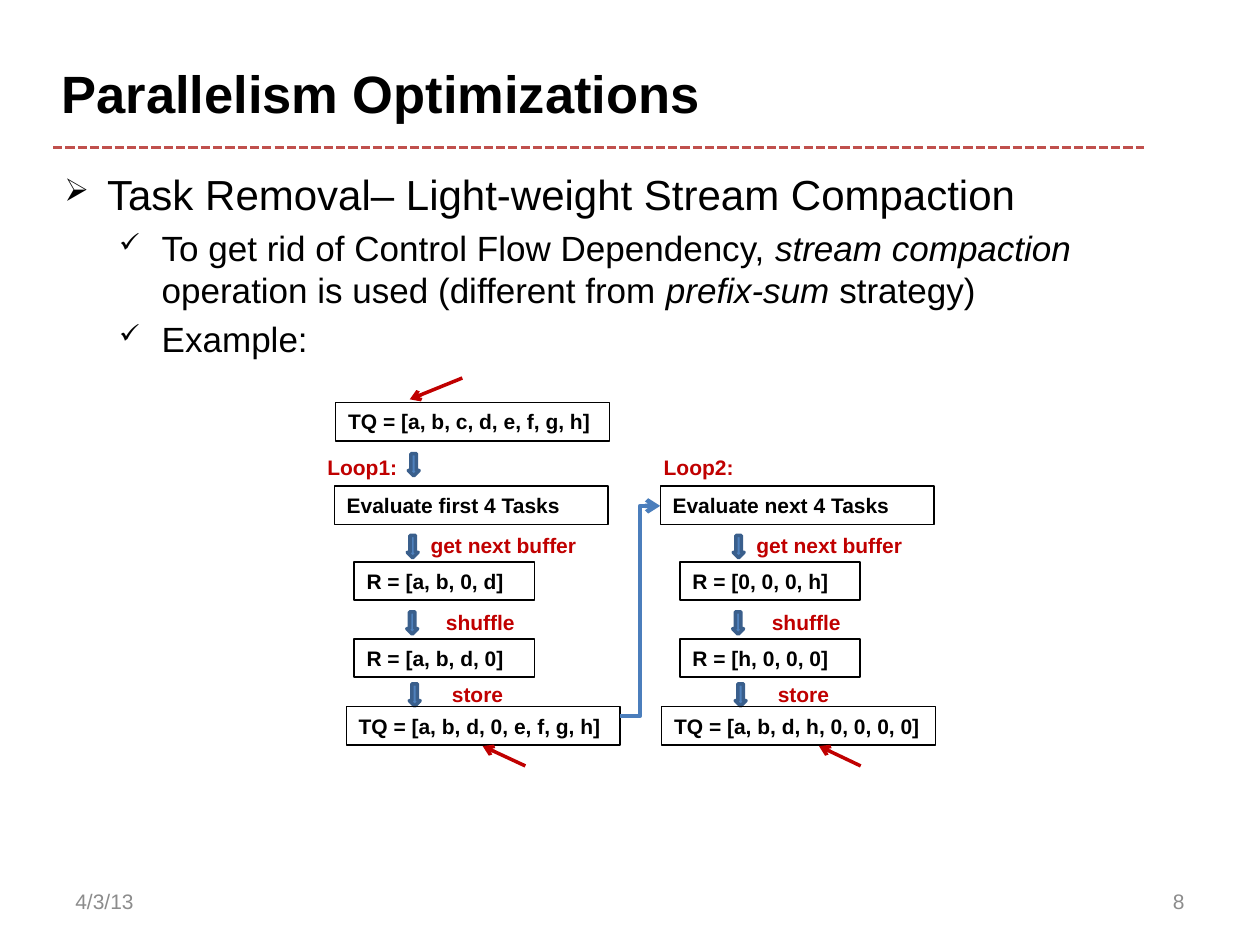
from dataclasses import dataclass

import pptx
import pptx.dml.color
import pptx.enum.dml
import pptx.enum.shapes
import pptx.enum.text
import pptx.oxml.ns
import pptx.util
from lxml import etree

Cm = pptx.util.Cm
Pt = pptx.util.Pt
RGBColor = pptx.dml.color.RGBColor
Align = pptx.enum.text.PP_ALIGN
Anchor = pptx.enum.text.MSO_ANCHOR
Connector = pptx.enum.shapes.MSO_CONNECTOR

BLACK = RGBColor(0x00, 0x00, 0x00)
GRAY = RGBColor(0x8C, 0x8C, 0x8C)
RED = RGBColor(0xC0, 0x00, 0x00)
RULE_RED = RGBColor(0xC0, 0x50, 0x4D)
BLUE = RGBColor(0x4F, 0x81, 0xBD)
DARK_BLUE = RGBColor(0x3A, 0x5F, 0x8C)
LINK_BLUE = RGBColor(0x4B, 0x7E, 0xBC)

FONT = "Arial"
BOX_HEIGHT = 0.77
QUEUE_WIDTH = 5.52
BUFFER_WIDTH = 3.63
LOOP_PITCH = 6.57


@dataclass(frozen=True)
class Step:
    """One step of a loop, placed for the first loop, in centimetres."""
    label: str
    label_left: float
    label_top: float
    label_width: float
    arrow_x: float
    arrow_y: float
    box_top: float


@dataclass(frozen=True)
class Loop:
    name: str
    name_left: float
    task: str
    buffers: tuple[str, str]
    queue: str
    queue_left: float


@dataclass(frozen=True)
class Bullet:
    """Phrases alternate between upright and italic."""
    phrases: tuple[str, ...]
    level: int
    symbol: str
    size: int
    indent: float
    space_before: int


STEPS = (
    Step("get next buffer", 8.43, 10.62, 5.08, 8.32, 11.02, 11.33),
    Step("shuffle", 8.74, 12.17, 2.13, 8.31, 12.56, 12.88),
    Step("store", 8.86, 13.61, 2.13, 8.36, 14.01, 14.25),
)
LOOPS = (
    Loop("Loop1:", 6.35, "Evaluate first 4 Tasks",
         ("R = [a, b, 0, d]", "R = [a, b, d, 0]"), "TQ = [a, b, d, 0, e, f, g, h]", 6.98),
    Loop("Loop2:", 13.13, "Evaluate next 4 Tasks",
         ("R = [0, 0, 0, h]", "R = [h, 0, 0, 0]"), "TQ = [a, b, d, h, 0, 0, 0, 0]", 13.34),
)
BULLETS = (
    Bullet(("Task Removal– Light-weight Stream Compaction",), 0, "➢", 24, 0.86, 5),
    Bullet(("To get rid of Control Flow Dependency, ", "stream compaction ",
            "operation is used (different from ", "prefix-sum", " strategy)"),
           1, "✓", 20, 1.96, 4),
    Bullet(("Example:",), 1, "✓", 20, 1.96, 4),
)
POINTERS = (
    (10.59, 15.44, 9.73, 15.04),
    (17.35, 15.44, 16.51, 15.04),
    (9.32, 7.62, 8.26, 8.05),
)


def format_run(run, size: float, color: RGBColor, bold: bool = False, italic: bool = False) -> None:
    run.font.name = FONT
    run.font.size = Pt(size)
    run.font.color.rgb = color
    run.font.bold = bold
    run.font.italic = italic


def add_text(slide, text: str, left: float, top: float, width: float, height: float = BOX_HEIGHT,
             size: float = 12, color: RGBColor = BLACK, bold: bool = True,
             anchor=Anchor.TOP, align=Align.LEFT):
    shape = slide.shapes.add_textbox(Cm(left), Cm(top), Cm(width), Cm(height))
    text_frame = shape.text_frame
    text_frame.word_wrap = True
    text_frame.vertical_anchor = anchor
    text_frame.text = text
    paragraph = text_frame.paragraphs[0]
    paragraph.alignment = align
    format_run(paragraph.runs[0], size, color, bold)
    return shape


def add_box(slide, text: str, left: float, top: float, width: float) -> None:
    shape = add_text(slide, text, left, top, width)
    shape.line.color.rgb = BLACK
    shape.line.width = Pt(0.75)


def add_down_arrow(slide, center_x: float, center_y: float) -> None:
    length, thickness = 0.45, 0.22
    shape = slide.shapes.add_shape(
        pptx.enum.shapes.MSO_SHAPE.RIGHT_ARROW, Cm(center_x - length / 2),
        Cm(center_y - thickness / 2), Cm(length), Cm(thickness))
    shape.rotation = 90
    shape.shadow.inherit = False
    shape.fill.solid()
    shape.fill.fore_color.rgb = BLUE
    shape.line.color.rgb = DARK_BLUE
    shape.line.width = Pt(2)


def add_line(slide, start_x: float, start_y: float, end_x: float, end_y: float,
             color: RGBColor, width: float, kind=Connector.STRAIGHT, arrowhead: bool = True):
    connector = slide.shapes.add_connector(kind, Cm(start_x), Cm(start_y), Cm(end_x), Cm(end_y))
    connector.line.color.rgb = color
    connector.line.width = Pt(width)
    if arrowhead:
        etree.SubElement(connector.get_or_add_ln(), pptx.oxml.ns.qn("a:tailEnd"), type="arrow")
    etree.SubElement(connector.element.spPr, pptx.oxml.ns.qn("a:effectLst"))
    return connector


def add_bullets(slide) -> None:
    shape = slide.shapes.add_textbox(Cm(1.07), Cm(3.28), Cm(23.01), Cm(14.71))
    text_frame = shape.text_frame
    text_frame.word_wrap = True
    text_frame.margin_left = text_frame.margin_right = Cm(0.23)
    for index, bullet in enumerate(BULLETS):
        paragraph = text_frame.add_paragraph() if index else text_frame.paragraphs[0]
        paragraph.level = bullet.level
        paragraph.space_before = Pt(bullet.space_before)
        properties = paragraph._p.get_or_add_pPr()
        properties.set("marL", str(Cm(bullet.indent)))
        properties.set("indent", str(Cm(-0.86)))
        etree.SubElement(properties, pptx.oxml.ns.qn("a:buSzPct"), val="75000")
        etree.SubElement(properties, pptx.oxml.ns.qn("a:buChar"), char=bullet.symbol)
        for position, phrase in enumerate(bullet.phrases):
            run = paragraph.add_run()
            run.text = phrase
            format_run(run, bullet.size, BLACK, italic=position % 2 == 1)


def add_loop(slide, loop: Loop, offset: float) -> None:
    add_text(slide, loop.name, loop.name_left, 9.04, 2.11, color=RED)
    add_box(slide, loop.task, 6.74 + offset, 9.8, QUEUE_WIDTH)
    for step, buffer in zip(STEPS, loop.buffers + (None,)):
        add_text(slide, step.label, step.label_left + offset, step.label_top,
                 step.label_width, color=RED)
        add_down_arrow(slide, step.arrow_x + offset, step.arrow_y)
        if buffer:
            add_box(slide, buffer, 7.14 + offset, step.box_top, BUFFER_WIDTH)
        else:
            add_box(slide, loop.queue, loop.queue_left, step.box_top, QUEUE_WIDTH)


def main() -> None:
    presentation = pptx.Presentation()
    presentation.slide_width = Cm(25.4)
    presentation.slide_height = Cm(19.05)
    slide = presentation.slides.add_slide(presentation.slide_layouts[6])

    add_text(slide, "Parallelism Optimizations", 0.99, 0.56, 14.88, 2.62, size=30,
             anchor=Anchor.MIDDLE)
    add_text(slide, "4/3/13", 1.27, 17.65, 5.93, 1.02, color=GRAY, bold=False,
             anchor=Anchor.MIDDLE)
    add_text(slide, "8", 18.2, 17.65, 5.93, 1.02, color=GRAY, bold=False,
             anchor=Anchor.MIDDLE, align=Align.RIGHT)
    add_bullets(slide)

    add_box(slide, "TQ = [a, b, c, d, e, f, g, h]", 6.77, 8.12, QUEUE_WIDTH)
    add_down_arrow(slide, 8.34, 9.37)
    for index, loop in enumerate(LOOPS):
        add_loop(slide, loop, index * LOOP_PITCH)
    add_line(slide, 12.5, 14.43, 13.31, 10.2, LINK_BLUE, 2.5, Connector.ELBOW)
    for pointer in POINTERS:
        add_line(slide, *pointer, RED, 2)
    rule = add_line(slide, 1.07, 2.97, 23.07, 2.97, RULE_RED, 1.75, arrowhead=False)
    rule.line.dash_style = pptx.enum.dml.MSO_LINE.SQUARE_DOT

    presentation.save("out.pptx")


if __name__ == "__main__":
    main()
